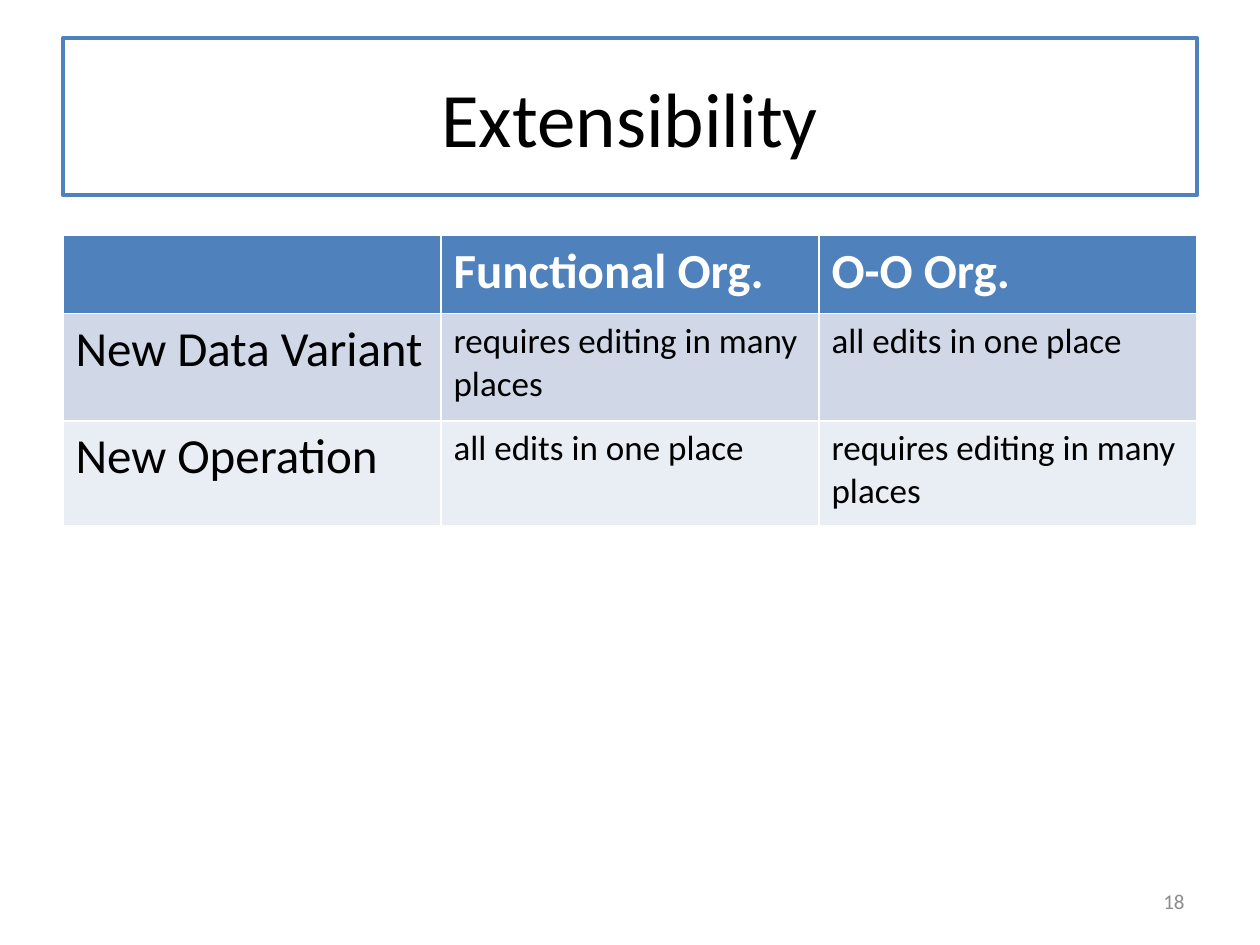
from dataclasses import dataclass

from pptx import Presentation
from pptx.dml.color import RGBColor as RGB
from pptx.enum.text import MSO_ANCHOR as Anchor, PP_ALIGN as Align
from pptx.util import Inches, Pt


@dataclass(frozen=True)
class Theme:
    """Font, colours and type sizes of the slide."""
    font: str = "Calibri"
    text: RGB = RGB(0x00, 0x00, 0x00)
    white: RGB = RGB(0xFF, 0xFF, 0xFF)
    accent: RGB = RGB(0x4F, 0x81, 0xBD)
    muted: RGB = RGB(0x8C, 0x8C, 0x8C)
    bands: tuple = (RGB(0xD0, 0xD8, 0xE8), RGB(0xE9, 0xED, 0xF4))
    title: int = 44
    heading: int = 28
    body: int = 20
    footer: int = 12


THEME = Theme()
COLUMN_WIDTH = 3
ROW_HEIGHTS = (0.62, 0.85, 0.83)
MANY_PLACES = "requires editing in many places"
ONE_PLACE = "all edits in one place"
ROWS = (
    ("", "Functional Org.", "O-O Org."),
    ("New Data Variant", MANY_PLACES, ONE_PLACE),
    ("New Operation", ONE_PLACE, MANY_PLACES),
)


def add_text(tf, text, size, color, bold=False, align=Align.LEFT):
    """Write one formatted run into the first paragraph of a text frame."""
    p = tf.paragraphs[0]
    p.alignment = align
    r = p.add_run()
    r.text = text
    r.font.name = THEME.font
    r.font.size = Pt(size)
    r.font.bold = bold
    r.font.color.rgb = color


def set_title(slide, text):
    """Place and outline the title placeholder."""
    sp = slide.shapes.title
    sp.left, sp.top = Inches(0.5), Inches(0.3)
    sp.width, sp.height = Inches(9), Inches(1.25)
    sp.fill.solid()
    sp.fill.fore_color.rgb = THEME.white
    sp.line.color.rgb = THEME.accent
    sp.line.width = Pt(2.25)
    sp.text_frame.vertical_anchor = Anchor.MIDDLE
    add_text(sp.text_frame, text, THEME.title, THEME.text, align=Align.CENTER)


def fill_cell(cell, text, row, col):
    """Fill and label a cell according to its place in the table."""
    header = row == 0
    cell.fill.solid()
    cell.fill.fore_color.rgb = THEME.accent if header else THEME.bands[(row - 1) % 2]
    if text:
        size = THEME.heading if header or col == 0 else THEME.body
        color = THEME.white if header else THEME.text
        add_text(cell.text_frame, text, size, color, bold=header)


def add_comparison_table(slide):
    """Add the table that compares the two ways of organising code."""
    columns = len(ROWS[0])
    table = slide.shapes.add_table(
        len(ROWS), columns, Inches(0.5), Inches(1.87),
        Inches(COLUMN_WIDTH * columns), Inches(sum(ROW_HEIGHTS))).table
    for column in table.columns:
        column.width = Inches(COLUMN_WIDTH)
    for row, (height, texts) in enumerate(zip(ROW_HEIGHTS, ROWS)):
        table.rows[row].height = Inches(height)
        for col, text in enumerate(texts):
            fill_cell(table.cell(row, col), text, row, col)


def add_slide_number(slide, number):
    """Add the slide number at the lower right."""
    box = slide.shapes.add_textbox(Inches(7.17), Inches(6.95), Inches(2.33), Inches(0.4))
    tf = box.text_frame
    tf.word_wrap = True
    tf.vertical_anchor = Anchor.MIDDLE
    add_text(tf, number, THEME.footer, THEME.muted, align=Align.RIGHT)


def main():
    """Build and save the slide."""
    prs = Presentation()
    prs.slide_width, prs.slide_height = Inches(10), Inches(7.5)
    slide = prs.slides.add_slide(prs.slide_layouts.get_by_name("Title Only"))
    set_title(slide, "Extensibility")
    add_comparison_table(slide)
    add_slide_number(slide, "18")
    prs.save("out.pptx")


if __name__ == "__main__":
    main()
